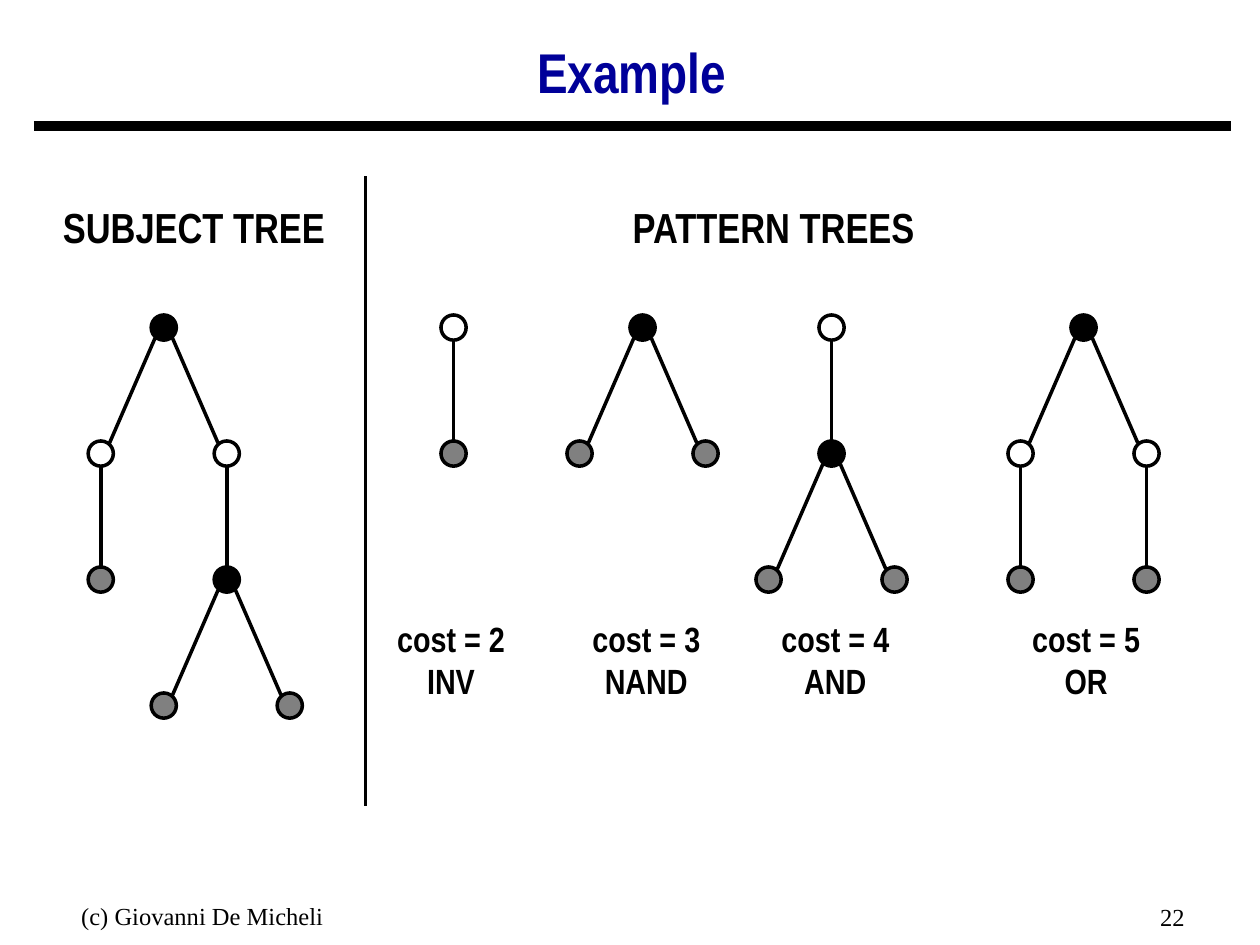
import pptx
import pptx.util
import pptx.dml.color
import pptx.enum.shapes
import pptx.enum.text
import pptx.oxml.ns
from lxml import etree

Pt = pptx.util.Pt
RGBColor = pptx.dml.color.RGBColor
MSO_SHAPE = pptx.enum.shapes.MSO_SHAPE
MSO_CONNECTOR = pptx.enum.shapes.MSO_CONNECTOR
MSO_ANCHOR = pptx.enum.text.MSO_ANCHOR
PP_ALIGN = pptx.enum.text.PP_ALIGN

BLACK = RGBColor(0, 0, 0)
GRAY = RGBColor(0x80, 0x80, 0x80)
NAVY = RGBColor(0, 0, 0x99)

# Trees: (node kind, half steps sideways from the parent, children)
NODE_FILLS = {"nand": BLACK, "inv": None, "leaf": GRAY}


def pair(left, right):
    return [(*left, -1, []), (*right, 1, [])]


def inverter(side, child):
    return ("inv", side, [child])


LEAF = ("leaf", 0, [])
LEAF_PAIR = [("leaf", -1, []), ("leaf", 1, [])]
NAND = ("nand", 0, LEAF_PAIR)
SUBJECT = ("nand", 0, [inverter(-1, LEAF), inverter(1, NAND)])
SUBJECT_X = 93.6

# Pattern trees: root x, tree, label centre x, label lines
PATTERNS = [
    (259.2, inverter(0, LEAF), 257.76, ["cost = 2", "INV"]),
    (367.2, NAND, 369.36, ["cost = 3", "NAND"]),
    (475.2, inverter(0, NAND), 477.36, ["cost = 4", "AND"]),
    (619.2, ("nand", 0, [inverter(-1, LEAF), inverter(1, LEAF)]),
     620.64, ["cost = 5", "OR"]),
]

# Texts: lines, box, format
HEADING = {"name": "Arial Narrow", "size": Pt(24), "bold": True}
LABEL = {**HEADING, "size": Pt(20)}
TITLE = {**HEADING, "size": Pt(32)}
FOOTER = {"name": "Times New Roman", "size": Pt(14), "bold": False}
HEADINGS = [
    ("SUBJECT TREE", (36, 115.2, 149.76, 28.8)),
    ("PATTERN TREES", (360, 115.2, 164.16, 28.8)),
]
FOOTERS = [
    ("(c) Giovanni De Micheli", (-7.2, 511.2, 228.24, 37.44), PP_ALIGN.CENTER),
    ("22", (516.24, 511.92, 167.76, 37.44), PP_ALIGN.RIGHT),
]

ROOT_Y, HALF_STEP, LEVEL, NODE = 187.2, 36, 72, 14.4
LABEL_TOP, LABEL_W, LABEL_H = 352.8, 61.92, 48.24

prs = pptx.Presentation()
prs.slide_width, prs.slide_height = Pt(720), Pt(540)
s = prs.slides.add_slide(prs.slide_layouts[6])


def add_line(x1, y1, x2, y2, width=2):
    c = s.shapes.add_connector(MSO_CONNECTOR.STRAIGHT,
                               *map(Pt, (x1, y1, x2, y2)))
    c.line.color.rgb, c.line.width = BLACK, Pt(width)
    etree.SubElement(c._element.spPr, pptx.oxml.ns.qn("a:effectLst"))


def add_text(lines, box, style, color=BLACK, align=PP_ALIGN.CENTER,
             insets=(0, 0, 0, 0), wrap=False, anchor=MSO_ANCHOR.TOP,
             spacing=None):
    tf = s.shapes.add_textbox(*map(Pt, box)).text_frame
    left, top, right, bottom = map(Pt, insets)
    frame = {"margin_left": left, "margin_top": top, "margin_right": right,
             "margin_bottom": bottom, "word_wrap": wrap,
             "vertical_anchor": anchor}
    for key, value in frame.items():
        setattr(tf, key, value)
    for i, line in enumerate(lines):
        p = tf.add_paragraph() if i else tf.paragraphs[0]
        p.alignment, p.line_spacing = align, spacing
        r = p.add_run()
        r.text = line
        for key, value in style.items():
            setattr(r.font, key, value)
        r.font.color.rgb = color


def add_tree(tree, x, y):
    kind, _, children = tree
    sp = s.shapes.add_shape(MSO_SHAPE.OVAL, Pt(x - NODE / 2), Pt(y - NODE / 2),
                            Pt(NODE), Pt(NODE))
    sp.shadow.inherit = False
    sp.line.color.rgb, sp.line.width = BLACK, Pt(2)
    if NODE_FILLS[kind] is None:
        sp.fill.background()
    else:
        sp.fill.solid()
        sp.fill.fore_color.rgb = NODE_FILLS[kind]
    for child in children:
        side = child[1]
        child_x, child_y = x + side * HALF_STEP, y + LEVEL
        # Edges start and end at the rims of the nodes
        gap_x, gap_y = side * 5.04, 6.1 if side else 7.9
        add_line(x + gap_x, y + gap_y, child_x - gap_x, child_y - gap_y)
        add_tree(child, child_x, child_y)


# Title and rule
add_line(19.44, 72, 703.44, 72, width=6)
add_text(["Example"], (18.72, 15.84, 684.72, 54), TITLE, color=NAVY,
         insets=(7.2, 3.6, 7.2, 3.6), wrap=True, anchor=MSO_ANCHOR.MIDDLE,
         spacing=0.9)

# Subject tree, pattern trees and their labels
add_tree(SUBJECT, SUBJECT_X, ROOT_Y)
for root_x, tree, label_x, lines in PATTERNS:
    add_tree(tree, root_x, ROOT_Y)
    add_text(lines, (label_x - LABEL_W / 2, LABEL_TOP, LABEL_W, LABEL_H), LABEL)

# Headings and divider
for text, box in HEADINGS:
    add_text([text], box, HEADING)
add_line(208.8, 100.8, 208.8, 460.8)

# Footer
for text, box, align in FOOTERS:
    add_text([text], box, FOOTER, align=align, insets=(24.5, 3.6, 7.2, 3.6),
             wrap=True)

prs.save("out.pptx")
